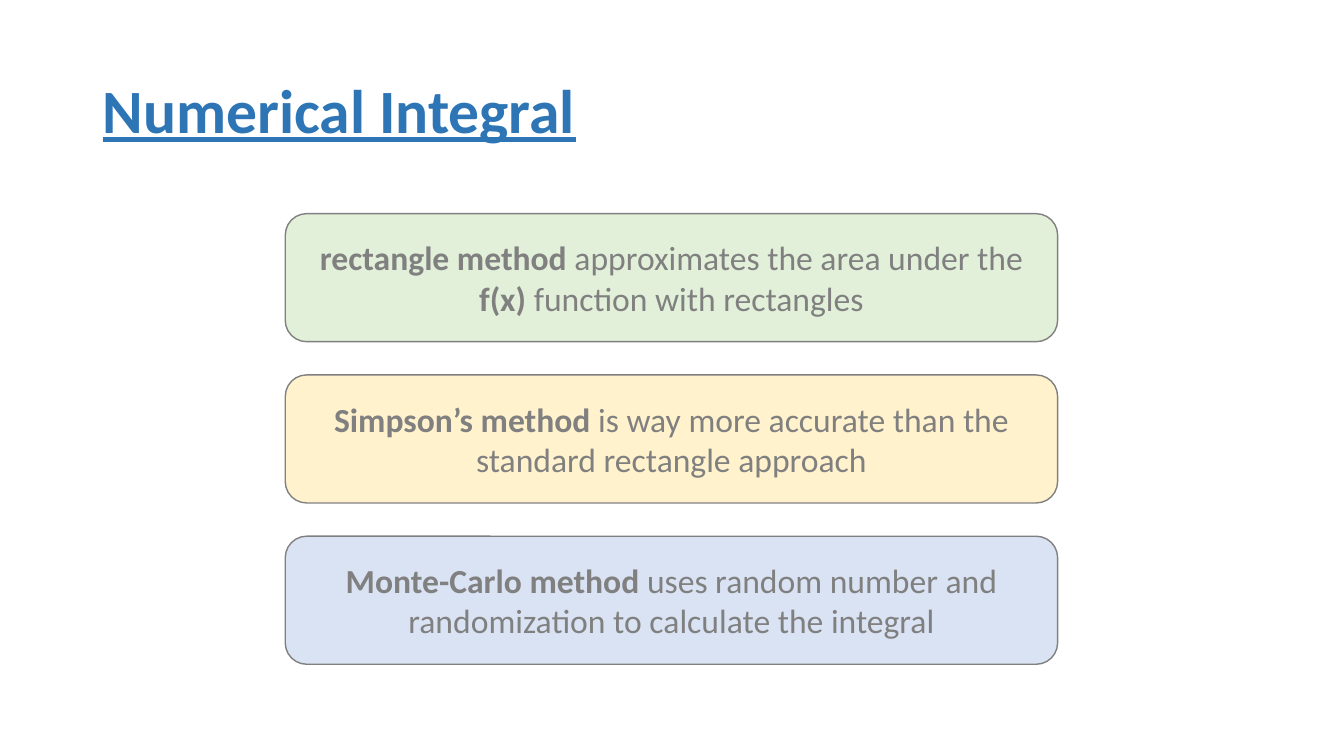
from dataclasses import dataclass

from pptx import Presentation
from pptx.dml.color import RGBColor
from pptx.enum.shapes import MSO_SHAPE
from pptx.enum.text import MSO_ANCHOR, PP_ALIGN
from pptx.slide import Slide
from pptx.text.text import Font
from pptx.util import Emu, Pt

ROUNDED = MSO_SHAPE.ROUNDED_RECTANGLE
MIDDLE = MSO_ANCHOR.MIDDLE
CENTER = PP_ALIGN.CENTER

EMU_PER_PX = 9144  # 100 px to the inch
FONT_NAME = "Calibri"
BLUE = "2E75B6"
GRAY = "808080"

CARD_LEFT, CARD_TOP = 283, 212
CARD_WIDTH, CARD_HEIGHT = 766, 127
CARD_PITCH = 160


@dataclass(frozen=True)
class Span:
    text: str
    bold: bool = False


@dataclass(frozen=True)
class Card:
    fill: str
    spans: tuple[Span, ...]


CARDS = (
    Card("E2F0D9", (
        Span("rectangle method", bold=True),
        Span(" approximates the area under the "),
        Span("f(x)", bold=True),
        Span(" function with rectangles"),
    )),
    Card("FFF2CC", (
        Span("Simpson’s method ", bold=True),
        Span("is way more accurate than the standard rectangle approach"),
    )),
    Card("DAE3F3", (
        Span("Monte-Carlo method ", bold=True),
        Span("uses random number and randomization to calculate the integral"),
    )),
)


def px(length: int) -> Emu:
    return Emu(length * EMU_PER_PX)


def color(hex_code: str) -> RGBColor:
    return RGBColor.from_string(hex_code)


def style_font(font: Font, size: int, hex_code: str) -> None:
    font.name = FONT_NAME
    font.size = Pt(size)
    font.color.rgb = color(hex_code)


def add_title(page: Slide, text: str) -> None:
    box = page.shapes.add_textbox(px(92), px(40), px(1150), px(145))
    frame = box.text_frame
    frame.word_wrap = True
    frame.vertical_anchor = MIDDLE
    para = frame.paragraphs[0]
    para.text = text
    para.line_spacing = 0.9
    style_font(para.font, 44, BLUE)
    para.font.bold = True
    para.font.underline = True


def add_card(page: Slide, card: Card, top: int) -> None:
    box = page.shapes.add_shape(
        ROUNDED, px(CARD_LEFT), px(top), px(CARD_WIDTH), px(CARD_HEIGHT)
    )
    box.shadow.inherit = False
    box.fill.solid()
    box.fill.fore_color.rgb = color(card.fill)
    box.line.color.rgb = color(GRAY)
    box.line.width = Pt(1)
    frame = box.text_frame
    frame.word_wrap = True
    frame.vertical_anchor = MIDDLE
    para = frame.paragraphs[0]
    para.alignment = CENTER
    style_font(para.font, 24, GRAY)
    for span in card.spans:
        run = para.add_run()
        run.text = span.text
        run.font.bold = span.bold


def main() -> None:
    deck = Presentation()
    deck.slide_width, deck.slide_height = px(1333), px(750)
    page = deck.slides.add_slide(deck.slide_layouts[6])
    add_title(page, "Numerical Integral")
    for index, card in enumerate(CARDS):
        add_card(page, card, CARD_TOP + index * CARD_PITCH)
    deck.save("out.pptx")


if __name__ == "__main__":
    main()
